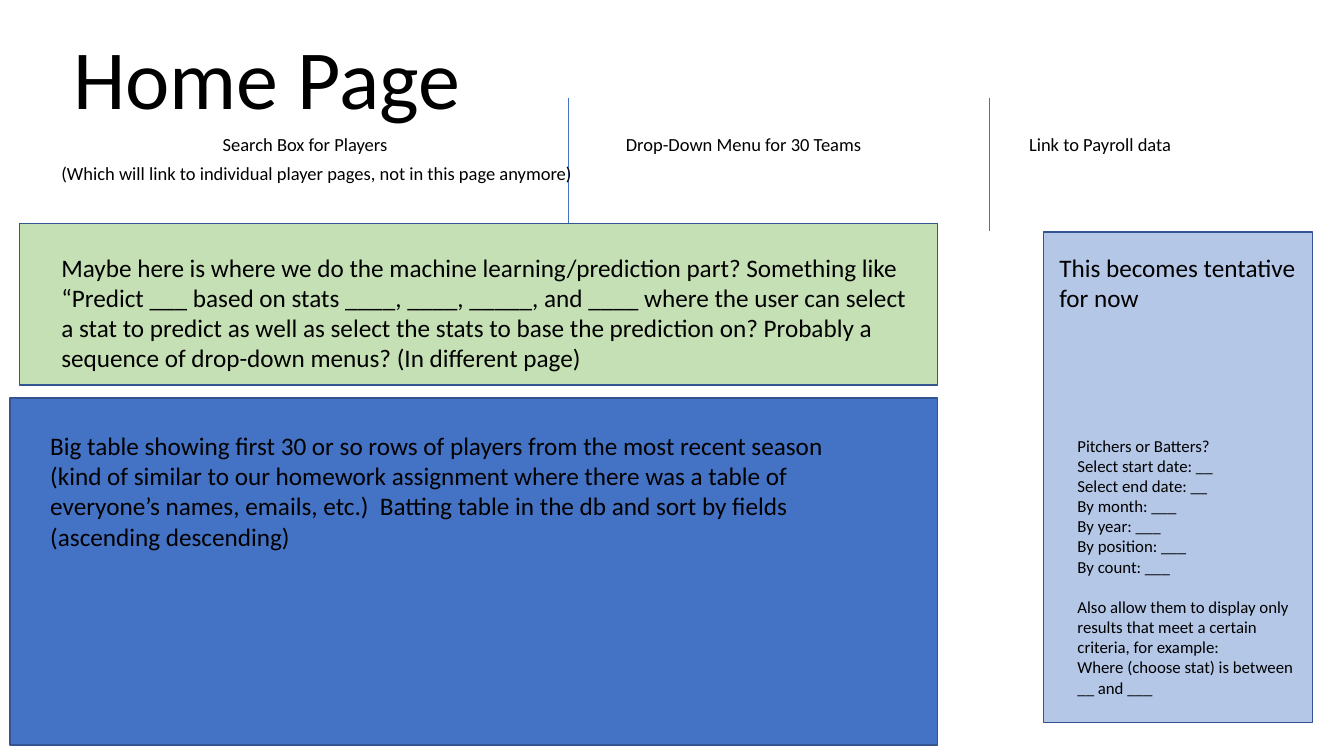
from dataclasses import dataclass

from lxml import etree
from pptx import Presentation
from pptx.dml.color import RGBColor
from pptx.enum.shapes import MSO_CONNECTOR, MSO_SHAPE
from pptx.enum.text import MSO_ANCHOR, PP_ALIGN
from pptx.oxml.ns import qn
from pptx.slide import Slide
from pptx.util import Inches, Pt

RECT, STRAIGHT = MSO_SHAPE.RECTANGLE, MSO_CONNECTOR.STRAIGHT
TOP, BOTTOM = MSO_ANCHOR.TOP, MSO_ANCHOR.BOTTOM
LEFT, CENTER = PP_ALIGN.LEFT, PP_ALIGN.CENTER
W, H = Inches(13.333), Inches(7.5)


@dataclass(frozen=True)
class Theme:
    font: str = "Calibri"
    ink: str = "000000"
    blue: str = "4472C4"
    pale_blue: str = "B4C7E7"
    green: str = "C5E0B4"
    border: str = "325491"
    title: float = 60
    body: float = 18
    menu: float = 13.2
    small: float = 12


THEME = Theme()


@dataclass(frozen=True)
class Box:
    """Place and size in percent of the slide's width and height."""
    x: float
    y: float
    w: float
    h: float

    def emu(self) -> tuple[int, int, int, int]:
        return across(self.x), down(self.y), across(self.w), down(self.h)


@dataclass(frozen=True)
class Panel:
    box: Box
    fill: str


@dataclass(frozen=True)
class Para:
    text: str
    before: float = 0


@dataclass(frozen=True)
class Note:
    box: Box
    size: float
    paras: tuple[Para, ...]
    align: PP_ALIGN = LEFT
    anchor: MSO_ANCHOR = TOP
    spacing: float = 1.0
    tabs: tuple[float, ...] = ()


def across(share: float) -> int:
    return round(W * share / 100)


def down(share: float) -> int:
    return round(H * share / 100)


def rgb(code: str) -> RGBColor:
    return RGBColor.from_string(code)


def add_panel(s: Slide, panel: Panel) -> None:
    sp = s.shapes.add_shape(RECT, *panel.box.emu())
    sp.shadow.inherit = False
    sp.fill.solid()
    sp.fill.fore_color.rgb = rgb(panel.fill)
    sp.line.color.rgb = rgb(THEME.border)
    sp.line.width = Pt(1)


def add_divider(s: Slide, x: float, top: float, bottom: float) -> None:
    sp = s.shapes.add_connector(STRAIGHT, across(x), down(top), across(x), down(bottom))
    sp.line.color.rgb = rgb(THEME.blue)
    sp.line.width = Pt(0.5)
    etree.SubElement(sp._element.spPr, qn("a:effectLst"))


def add_note(s: Slide, note: Note) -> None:
    tf = s.shapes.add_textbox(*note.box.emu()).text_frame
    tf.word_wrap = True
    tf.vertical_anchor = note.anchor
    for i, para in enumerate(note.paras):
        p = tf.add_paragraph() if i else tf.paragraphs[0]
        p_format = {"alignment": note.align, "line_spacing": note.spacing,
                    "space_before": Pt(para.before)}
        for name, value in p_format.items():
            setattr(p, name, value)
        if note.tabs:
            stops = etree.SubElement(p._p.get_or_add_pPr(), qn("a:tabLst"))
            for stop in note.tabs:
                etree.SubElement(stops, qn("a:tab"), pos=str(across(stop)), algn="l")
        r = p.add_run()
        r.text = para.text
        r_format = {"name": THEME.font, "size": Pt(note.size)}
        for name, value in r_format.items():
            setattr(r.font, name, value)
        r.font.color.rgb = rgb(THEME.ink)


MENU = ("Search Box for Players", "Drop-Down Menu for 30 Teams", "Link to Payroll data")
MENU_TABS = tuple(12 + 30 * i for i in range(len(MENU)))
FILTERS = ("Pitchers or Batters?", "Select start date: __", "Select end date: __",
           "By month: ___", "By year: ___", "By position: ___", "By count: ___")

DIVIDERS = (42.3, 73.58)
PANELS = (
    Panel(Box(0.75, 52.67, 69, 45.87), THEME.blue),
    Panel(Box(77.63, 30.67, 20.03, 64.93), THEME.pale_blue),
    Panel(Box(1.43, 29.6, 68.33, 21.33), THEME.green),
)
NOTES = (
    Note(Box(1.43, 2.53, 36.83, 15.07), THEME.title, (Para("Home Page"),),
         CENTER, BOTTOM, 0.9),
    Note(Box(3.83, 17.73, 96.17, 10.13), THEME.menu, (
        Para("".join("\t" + entry for entry in MENU), 10),
        Para("(Which will link to individual player pages, not in this page anymore)", 10),
    ), spacing=0.7, tabs=MENU_TABS),
    Note(Box(3, 56.27, 62.1, 17.47), THEME.body, (Para(
        "Big table showing first 30 or so rows of players from the most recent season "
        "(kind of similar to our homework assignment where there was a table of "
        "everyone’s names, emails, etc.)  Batting table in the db and sort by fields "
        "(ascending descending)"),)),
    Note(Box(78.08, 32.67, 19.2, 9.47), THEME.body,
         (Para("This becomes tentative for now"),)),
    Note(Box(79.43, 56.93, 18.23, 36.4), THEME.small, (
        *(Para(entry) for entry in FILTERS),
        Para("Also allow them to display only results that meet a certain criteria, "
             "for example:", 14.4),
        Para("Where (choose stat) is between __ and ___"),
    )),
    Note(Box(3.83, 32.67, 64.43, 17.47), THEME.body, (Para(
        "Maybe here is where we do the machine learning/prediction part? Something like "
        "“Predict ___ based on stats ____, ____, _____, and ____ where the user can "
        "select a stat to predict as well as select the stats to base the prediction on? "
        "Probably a sequence of drop-down menus? (In different page)"),)),
)


def main() -> None:
    prs = Presentation()
    prs.slide_width, prs.slide_height = W, H
    s = prs.slides.add_slide(prs.slide_layouts[6])
    for x in DIVIDERS:
        add_divider(s, x, 12.93, 30.53)
    for panel in PANELS:
        add_panel(s, panel)
    for note in NOTES:
        add_note(s, note)
    prs.save("out.pptx")


if __name__ == "__main__":
    main()
